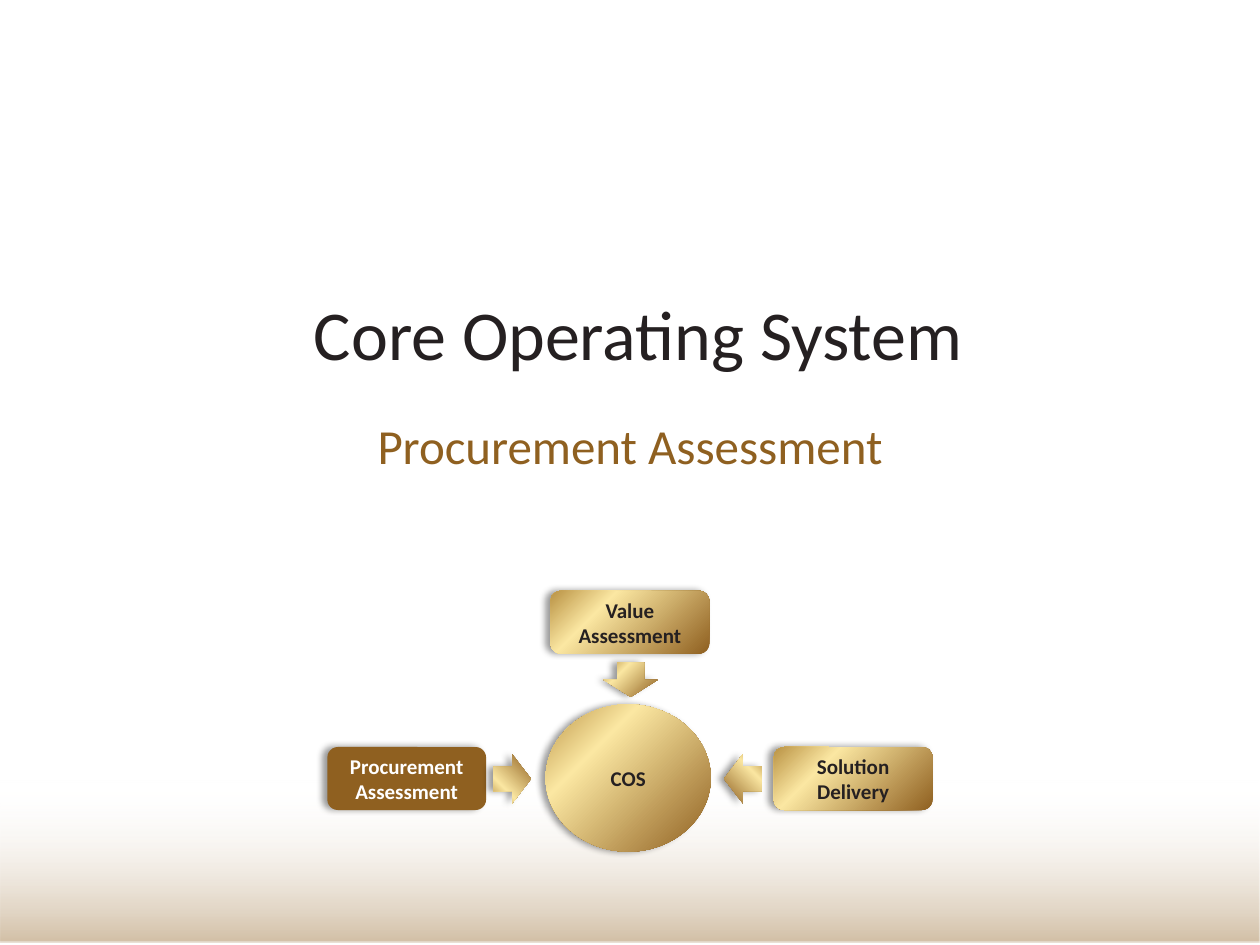
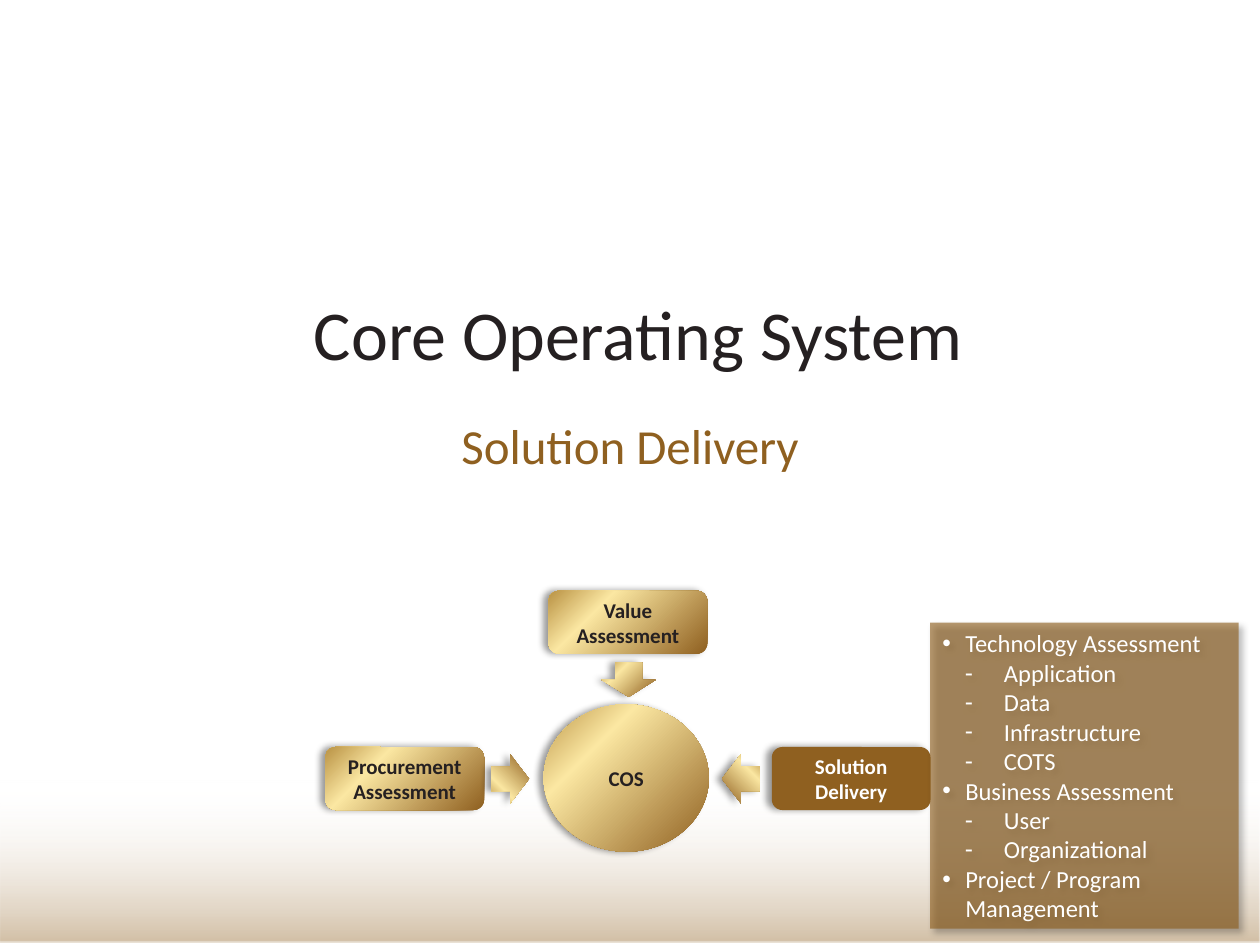
"""Build two section slides of a core operating system deck."""
from lxml import etree
from pptx import Presentation
from pptx.dml.color import RGBColor
from pptx.enum.shapes import MSO_SHAPE
from pptx.enum.text import MSO_ANCHOR, PP_ALIGN
from pptx.oxml.ns import qn
from pptx.util import Cm, Pt

RECT, ROUND_RECT = MSO_SHAPE.RECTANGLE, MSO_SHAPE.ROUNDED_RECTANGLE
ELLIPSE, DOWN_ARROW = MSO_SHAPE.OVAL, MSO_SHAPE.DOWN_ARROW
CENTER, LEFT = PP_ALIGN.CENTER, PP_ALIGN.LEFT
TOP, MIDDLE = MSO_ANCHOR.TOP, MSO_ANCHOR.MIDDLE

FONT = "Calibri"
INK, BRONZE, WHITE, BLACK = "252021", "8F6020", "FFFFFF", "000000"
GOLD = [(0, BRONZE, 100), (70, "FBE7A2", 100), (100, "BA9345", 100)]
FADE = [(0, WHITE, 100), (15, WHITE, 100), (83, WHITE, 0), (100, BRONZE, 40)]
WIDTH, HEIGHT = 25.4, 19.05
BOX_W, BOX_H = 3.2, 1.27
BOXES = [
    ("Value", "Assessment", 11.1, 11.91),
    ("Procurement", "Assessment", 6.6, 15.06),
    ("Solution", "Delivery", 15.6, 15.06),
]
ARROWS = [
    (12.17, 13.36, 1.09, 0.69, 0),
    (9.83, 15.32, 0.99, 0.76, 270),
    (14.48, 15.32, 0.99, 0.76, 90),
]
BULLETS = {1: ("•", 0.46, -0.46), 2: ("-", 1.24, -0.79)}
DELIVERY_TOPICS = [
    ("Technology Assessment", ["Application", "Data", "Infrastructure", "COTS"]),
    ("Business Assessment", ["User", "Organizational"]),
    ("Project / Program Management", []),
]


def rgb(value):
    """Turn a hex string into a colour."""
    return RGBColor.from_string(value)


def add_color(parent, value, alpha):
    """Append a colour with its opacity in percent."""
    color = etree.SubElement(parent, qn("a:srgbClr"), val=value)
    if alpha < 100:
        etree.SubElement(color, qn("a:alpha"), val=str(alpha * 1000))


def write(frame, lines, size=12, color=INK, bold=False, align=CENTER,
          anchor=MIDDLE, indent=0, margin=None):
    """Fill a text frame with lines, each a string or a (text, level) pair."""
    frame.word_wrap = True
    frame.vertical_anchor = anchor
    if margin is not None:
        frame.margin_left = frame.margin_right = Cm(margin)
        frame.margin_top = frame.margin_bottom = Cm(margin)
    for number, line in enumerate(lines):
        text, level = (line, 0) if isinstance(line, str) else line
        paragraph = frame.add_paragraph() if number else frame.paragraphs[0]
        paragraph.alignment = align
        run = paragraph.add_run()
        run.text = text
        run.font.name, run.font.size, run.font.bold = FONT, Pt(size), bold
        run.font.color.rgb = rgb(color)
        properties = paragraph._p.get_or_add_pPr()
        if indent:
            properties.set("marL", str(Cm(indent)))
        if level:
            mark, left, hanging = BULLETS[level]
            paragraph.level = level - 1
            properties.set("marL", str(Cm(left)))
            properties.set("indent", str(Cm(hanging)))
            etree.SubElement(properties, qn("a:buFont"), typeface="Arial")
            etree.SubElement(properties, qn("a:buChar"), char=mark)


class Deck:
    """Hold the presentation, its style and the current slide."""

    def __init__(self):
        """Open a blank presentation and put the fading band on its layout."""
        self.prs = Presentation()
        self.prs.slide_width, self.prs.slide_height = Cm(WIDTH), Cm(HEIGHT)
        self.layout = self.prs.slide_layouts[5]
        self.slide = None
        self.band_done = False

    def new_slide(self, title, subtitle):
        """Start a slide with its title and subtitle."""
        self.slide = self.prs.slides.add_slide(self.layout)
        if not self.band_done:
            self.band()
        heading = self.slide.shapes.title
        heading.left, heading.top = Cm(0), Cm(4.65)
        heading.width, heading.height = Cm(WIDTH), Cm(4.09)
        write(heading.text_frame, [title], size=40, indent=0.33)
        section = self.slide.shapes.add_textbox(Cm(0), Cm(8.26), Cm(WIDTH), Cm(3.61))
        write(section.text_frame, [subtitle], size=28, color=BRONZE, anchor=TOP)

    def band(self):
        """Move the fading band to the back of the shared layout."""
        band = self.shape(self.slide.shapes, RECT, 0, 0, WIDTH, 19)
        self.gradient(band, FADE, 90)
        band.element.xpath(".//p:cNvPr")[0].set("id", "20")
        self.layout.shapes.element.insert(2, band.element)
        self.band_done = True

    def shape(self, shapes, kind, left, top, width, height):
        """Add a preset shape without line or shadow."""
        shape = shapes.add_shape(kind, Cm(left), Cm(top), Cm(width), Cm(height))
        shape.line.fill.background()
        shape.shadow.inherit = False
        return shape

    def solid(self, shape, color, alpha=100):
        """Fill a shape with one colour."""
        shape.fill.solid()
        shape.fill.fore_color.rgb = rgb(color)
        if alpha < 100:
            fill = shape.element.spPr.find(qn("a:solidFill"))
            fill.clear()
            add_color(fill, color, alpha)

    def gradient(self, shape, stops, angle):
        """Fill a shape with a linear gradient."""
        shape.fill.background()
        properties = shape.element.spPr
        fill = etree.Element(qn("a:gradFill"), rotWithShape="1")
        stop_list = etree.SubElement(fill, qn("a:gsLst"))
        for position, color, alpha in stops:
            stop = etree.SubElement(stop_list, qn("a:gs"), pos=str(position * 1000))
            add_color(stop, color, alpha)
        etree.SubElement(fill, qn("a:lin"), ang=str(angle * 60000), scaled="0")
        properties.replace(properties.find(qn("a:noFill")), fill)

    def shadow(self, shape, angle):
        """Give a shape a soft shadow."""
        effects = shape.element.spPr.find(qn("a:effectLst"))
        outer = etree.SubElement(
            effects, qn("a:outerShdw"), blurRad=str(Pt(4)), dist=str(Pt(3)),
            dir=str(angle * 60000), algn="ctr", rotWithShape="0")
        add_color(outer, BLACK, 40)

    def node(self, shapes, kind, left, top, width, height, lines=(), active=False):
        """Add a part of the diagram, gold or highlighted in bronze."""
        node = self.shape(shapes, kind, left, top, width, height)
        if active:
            self.solid(node, BRONZE)
        else:
            self.gradient(node, GOLD, 225)
        self.shadow(node, 180)
        if lines:
            write(node.text_frame, lines, color=WHITE if active else INK,
                  bold=True, margin=0)
        return node

    def diagram(self, active, shift=0):
        """Draw the system diagram with one phase highlighted."""
        shapes = self.slide.shapes.add_group_shape().shapes
        self.node(shapes, ELLIPSE, 11 + shift, 14.2, 3.33, 2.97, ["COS"])
        for first, second, left, top in BOXES:
            self.node(shapes, ROUND_RECT, left + shift, top, BOX_W, BOX_H,
                      [first, second], active=f"{first} {second}" == active)
        for left, top, width, height, turn in ARROWS:
            arrow = self.node(shapes, DOWN_ARROW, left + shift, top, width, height)
            arrow.rotation = turn

    def topic_panel(self, topics):
        """Add the translucent panel that lists topics and their parts."""
        panel = self.shape(self.slide.shapes, RECT, 18.75, 12.55, 6.22, 6.17)
        self.solid(panel, BRONZE, 64)
        self.shadow(panel, 45)
        lines = []
        for topic, parts in topics:
            lines += [(topic, 1)] + [(part, 2) for part in parts]
        write(panel.text_frame, lines, size=14, color=WHITE, align=LEFT)


def main():
    """Build both slides and save them."""
    deck = Deck()
    for phase, shift, topics in [
        ("Procurement Assessment", 0, None),
        ("Solution Delivery", -0.04, DELIVERY_TOPICS),
    ]:
        deck.new_slide("Core Operating System", phase)
        deck.diagram(phase, shift)
        if topics:
            deck.topic_panel(topics)
    deck.prs.save("out.pptx")


if __name__ == "__main__":
    main()
